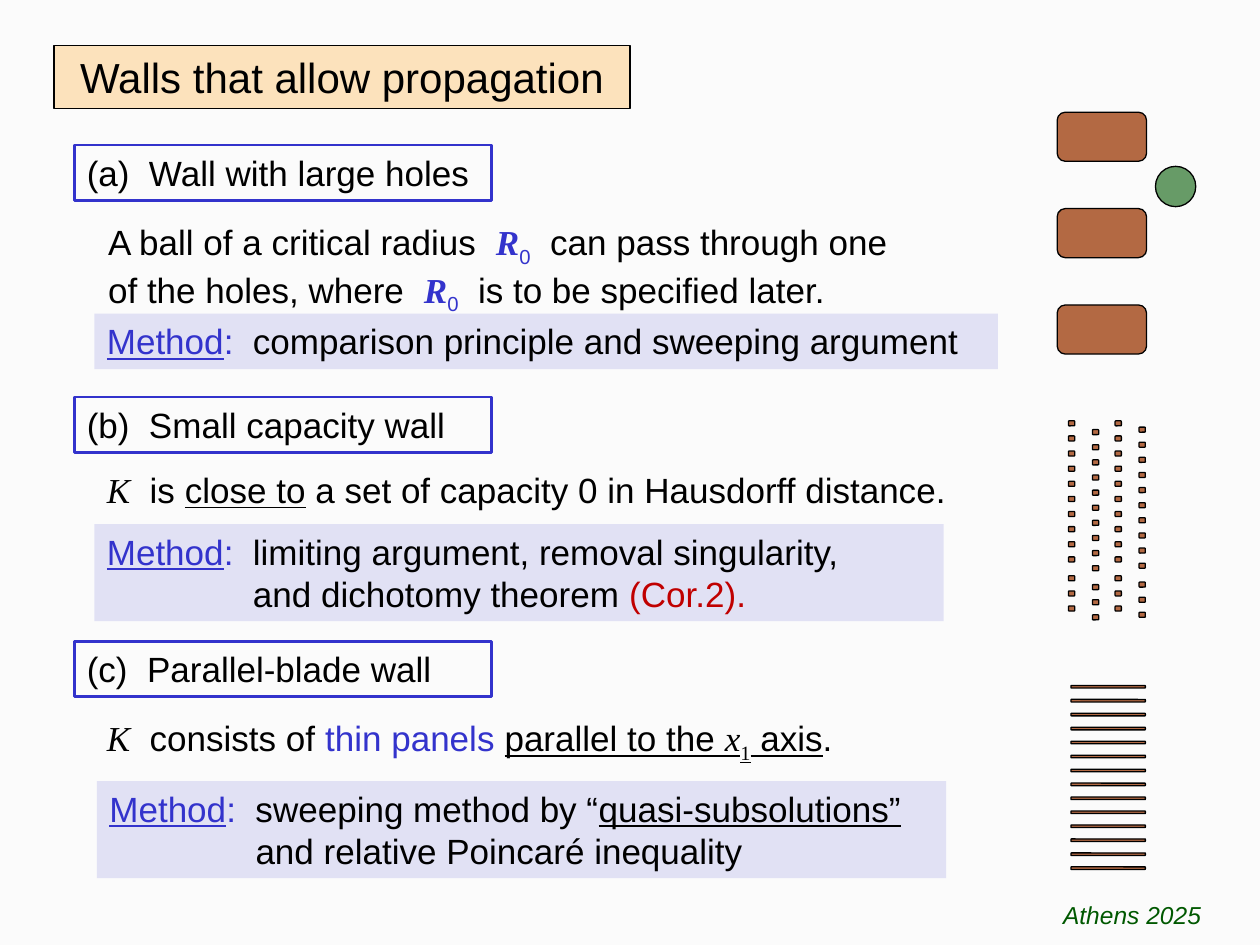
"""Build the slide on walls that allow propagation."""
from lxml import etree
from pptx import Presentation
from pptx.dml.color import RGBColor
from pptx.enum.shapes import MSO_SHAPE
from pptx.enum.text import MSO_ANCHOR, PP_ALIGN
from pptx.oxml.ns import qn
from pptx.util import Inches, Pt

RECT, ROUND, OVAL = MSO_SHAPE.RECTANGLE, MSO_SHAPE.ROUNDED_RECTANGLE, MSO_SHAPE.OVAL
LEFT, CENTER, TOP = PP_ALIGN.LEFT, PP_ALIGN.CENTER, MSO_ANCHOR.TOP
BLACK, BLUE, RED, GREEN = "000000", "3333CC", "C00000", "005800"
BACKDROP, ORANGE, BROWN = "FBFBFB", "FF9900", "993300"
SANS, SERIF = "Arial", "Times New Roman"

STYLES = {
    "plain": {},
    "blue": {"color": BLUE},
    "red": {"color": RED},
    "under": {"underline": True},
    "method": {"color": BLUE, "underline": True},
    "symbol": {"name": SERIF, "italic": True},
    "radius": {"name": SERIF, "italic": True, "bold": True, "color": BLUE},
    "radius index": {"color": BLUE, "baseline": -25},
    "axis": {"name": SERIF, "italic": True, "underline": True},
    "axis index": {"name": SERIF, "underline": True, "baseline": -25},
    "title": {"size": Pt(24)},
    "footer": {"size": Pt(14), "italic": True, "color": GREEN},
}

TITLE = ((0.43, 0.36, 4.57, 0.5), [[("Walls that allow propagation", "title")]])
FOOTER = ((8.15, 7.09, 1.67, 0.28), [[("Athens 2025", "footer")]])
HEADINGS = [
    (1.15, "(a)  Wall with large holes"),
    (3.15, "(b)  Small capacity wall"),
    (5.09, "(c)  Parallel-blade wall"),
]
R0 = [("R", "radius"), ("0", "radius index")]
STATEMENTS = [
    ((0.76, 1.7, 6.6, 0.77), [[
        ("A ball of a critical radius  ", "plain"), *R0,
        ("  can pass through one of the holes, where  ", "plain"), *R0,
        ("  is to be specified later.", "plain")]]),
    ((0.75, 3.67, 6.93, 0.44), [[
        ("K", "symbol"), ("  is ", "plain"), ("close to", "under"),
        (" a set of capacity 0 in Hausdorff distance.", "plain")]]),
    ((0.75, 5.64, 6.6, 0.44), [[
        ("K", "symbol"), ("  consists of ", "plain"), ("thin panels ", "blue"),
        ("parallel to the ", "under"), ("x", "axis"), ("1", "axis index"),
        (" axis", "under"), (".", "plain")]]),
]
METHOD = [("Method", "method"), (":", "blue")]
METHODS = [
    ((0.75, 2.49, 7.17, 0.44), [
        [*METHOD, ("  comparison principle and sweeping argument", "plain")]]),
    ((0.75, 4.16, 6.74, 0.77), [
        [*METHOD, ("  limiting argument, removal singularity,", "plain")],
        [("and dichotomy theorem ", "plain"), ("(Cor.2).", "red")]]),
    ((0.77, 6.2, 6.74, 0.77), [
        [*METHOD, ("  sweeping method by “", "plain"), ("quasi-subsolutions”", "under")],
        [("and relative Poincaré inequality", "plain")]]),
]
METHOD_INDENT = 1.16

DOT_COLUMNS = [(8.48, 3.34), (8.67, 3.41), (8.85, 3.34), (9.04, 3.39)]
DOT_OFFSETS = [0.12 * row for row in range(10)] + [1.23 + 0.12 * row for row in range(3)]
BLADE_COUNT, BLADE_FIRST, BLADE_LAST = 14, 5.44, 6.88
BLADE_PITCH = (BLADE_LAST - BLADE_FIRST) / (BLADE_COUNT - 1)
WALLS = [
    [(8.39, 0.89 + 0.765 * row, 0.71, 0.39) for row in range(3)],
    [(left, top + offset, 0.05, 0.04) for left, top in DOT_COLUMNS for offset in DOT_OFFSETS],
    [(8.5, BLADE_FIRST + BLADE_PITCH * row, 0.59, 0.02) for row in range(BLADE_COUNT)],
]
BALL = (9.17, 1.32, 0.32, 0.32)


def rgb(value):
    """Turn a hex string into a colour."""
    return RGBColor.from_string(value)


def add_block(shapes, kind, box, fill=None, alpha=100, line=None, width=0.75):
    """Add a preset shape with an optional translucent fill and outline."""
    block = shapes.add_shape(kind, *map(Inches, box))
    block.shadow.inherit = False
    if fill:
        block.fill.solid()
        block.fill.fore_color.rgb = rgb(fill)
        tint = block.fill.fore_color._xFill.find(qn("a:srgbClr"))
        etree.SubElement(tint, qn("a:alpha")).set("val", str(alpha * 1000))
    else:
        block.fill.background()
    if line:
        block.line.color.rgb = rgb(line)
        block.line.width = Pt(width)
    else:
        block.line.fill.background()
    return block


def write(holder, paragraphs, align=LEFT, hanging=0):
    """Write styled paragraphs, indenting those after the first."""
    frame = holder.text_frame
    frame.word_wrap = True
    frame.vertical_anchor = TOP
    for number, runs in enumerate(paragraphs):
        paragraph = frame.add_paragraph() if number else frame.paragraphs[0]
        paragraph.alignment = align
        if number and hanging:
            paragraph._p.get_or_add_pPr().set("marL", str(Inches(hanging)))
        for text, style in runs:
            run = paragraph.add_run()
            run.text = text
            look = {"name": SANS, "size": Pt(20), "color": BLACK, **STYLES[style]}
            run.font.color.rgb = rgb(look.pop("color"))
            baseline = look.pop("baseline", 0)
            if baseline:
                run.font._element.set("baseline", str(baseline * 1000))
            for attribute, value in look.items():
                setattr(run.font, attribute, value)


def main():
    """Draw the slide and save it."""
    deck = Presentation()
    deck.slide_width, deck.slide_height = Inches(10), Inches(7.5)
    slide = deck.slides.add_slide(deck.slide_layouts[6])
    slide.background.fill.solid()
    slide.background.fill.fore_color.rgb = rgb(BACKDROP)
    shapes = slide.shapes

    title_box, title = TITLE
    write(add_block(shapes, RECT, title_box, ORANGE, 25, BLACK), title, CENTER)
    for wall in WALLS:
        group = shapes.add_group_shape()
        for box in wall:
            add_block(group.shapes, ROUND, box, BROWN, 73, BLACK)
    for top, heading in HEADINGS:
        frame = add_block(shapes, RECT, (0.59, top, 3.31, 0.44), line=BLUE, width=1.5)
        write(frame, [[(heading, "plain")]])
    add_block(shapes, OVAL, BALL, GREEN, 59, BLACK)
    for box, statement in STATEMENTS:
        write(shapes.add_textbox(*map(Inches, box)), statement)
    footer_box, footer = FOOTER
    write(shapes.add_textbox(*map(Inches, footer_box)), footer, CENTER)
    for box, method in METHODS:
        write(add_block(shapes, RECT, box, BLUE, 13), method, hanging=METHOD_INDENT)
    deck.save("out.pptx")


if __name__ == "__main__":
    main()
